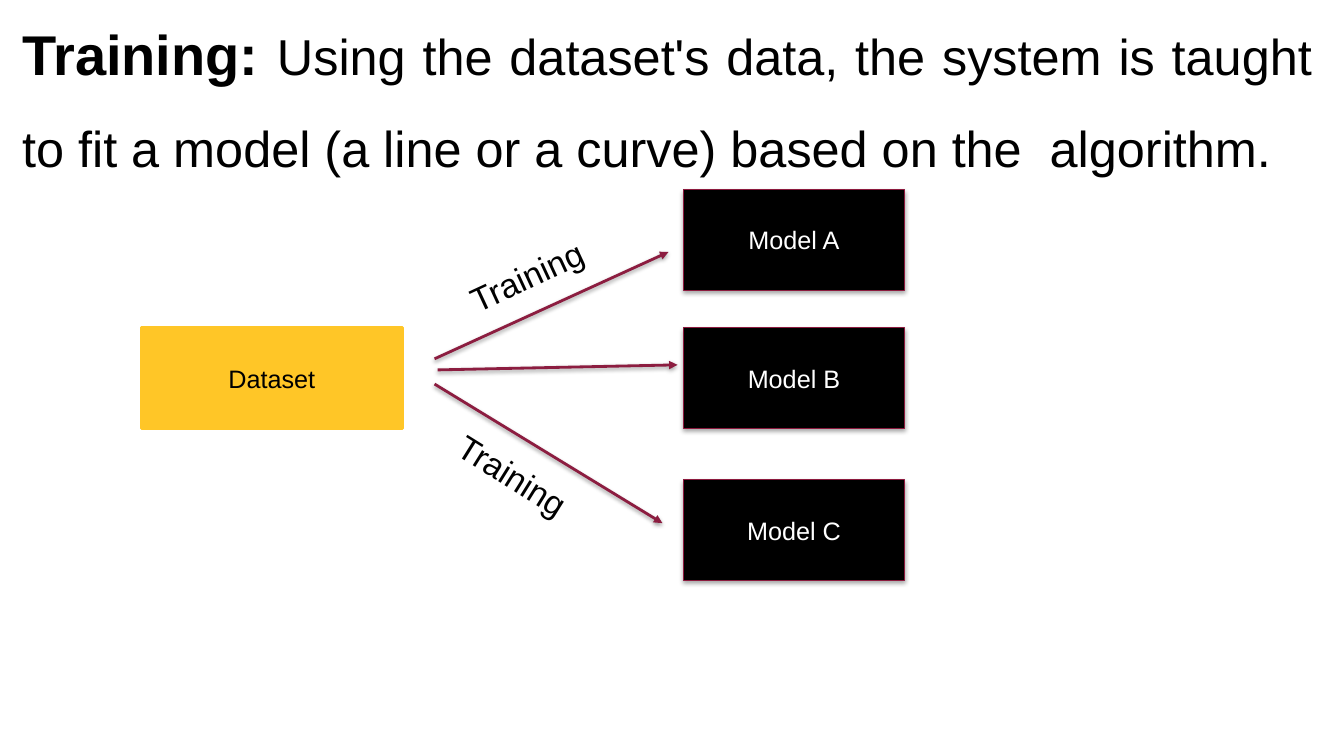
from lxml import etree
from pptx import Presentation
from pptx import util as u
from pptx.dml.color import RGBColor
from pptx.enum import shapes, text
from pptx.oxml import ns

BLACK = RGBColor(0, 0, 0)
WHITE = RGBColor(255, 255, 255)
GOLD = RGBColor(0xFF, 0xC6, 0x27)
MAROON = RGBColor(0x8C, 0x1D, 0x40)
EDGE = RGBColor(0x8C, 0x1A, 0x3E)

PX = 9144
SLIDE = (1333, 750)
TITLE_BOX = (12, -9, 1300, 181)
TITLE_RUNS = [
    ("Training: ", {"size": u.Pt(40), "bold": True}),
    ("Using the dataset's data, the system is taught to fit a model "
     "(a line or a curve) based on the  algorithm.",
     {"size": u.Pt(36), "bold": False}),
]
DATASET = ("Dataset", (140, 325, 259, 100))
MODEL_LEFT, MODEL_W, MODEL_H = 678, 219, 100
MODELS = [("Model B", 325), ("Model A", 188), ("Model C", 476)]
ARROWS = [(431, 381, 657, 519), (434, 367, 672, 362), (431, 356, 663, 250)]
LABELS = [(452, 246, 335), (438, 450, 32)]
LABEL_TEXT, LABEL_W, LABEL_H = "Training", 152, 50


def px(values):
    return [u.Emu(v * PX) for v in values]


def apply(obj, values):
    for name, value in values.items():
        setattr(obj, name, value)


def add_run(p, words, color, **values):
    r = p.add_run()
    r.text = words
    apply(r.font, {"name": "Arial", **values})
    r.font.color.rgb = color


def add_shadow(effects, alpha, dist):
    shadow = etree.SubElement(
        effects, ns.qn("a:outerShdw"), blurRad="40000", dist=str(dist),
        dir="5400000", rotWithShape="0")
    black = etree.SubElement(shadow, ns.qn("a:srgbClr"), val="000000")
    etree.SubElement(black, ns.qn("a:alpha"), val=str(alpha * 1000))


def add_box(s, words, box, fill, edge, width, color):
    sp = s.shapes.add_shape(shapes.MSO_SHAPE.RECTANGLE, *px(box))
    sp.shadow.inherit = False
    sp.fill.solid()
    sp.fill.fore_color.rgb = fill
    sp.line.color.rgb = edge
    sp.line.width = u.Pt(width)
    sp.text_frame.vertical_anchor = text.MSO_ANCHOR.MIDDLE
    p = sp.text_frame.paragraphs[0]
    p.alignment = text.PP_ALIGN.CENTER
    add_run(p, words, color, size=u.Pt(18))
    return sp


def add_arrow(s, ends):
    line = s.shapes.add_connector(shapes.MSO_CONNECTOR.STRAIGHT, *px(ends))
    line.line.color.rgb = MAROON
    line.line.width = u.Pt(2)
    etree.SubElement(line.line._get_or_add_ln(), ns.qn("a:tailEnd"), type="triangle")
    effects = etree.SubElement(line._element.spPr, ns.qn("a:effectLst"))
    add_shadow(effects, 38, 20000)


def add_label(s, left, top, angle):
    sp = s.shapes.add_textbox(*px((left, top, LABEL_W, LABEL_H)))
    sp.rotation = angle
    apply(sp.text_frame, {"word_wrap": True,
                          "auto_size": text.MSO_AUTO_SIZE.SHAPE_TO_FIT_TEXT})
    add_run(sp.text_frame.paragraphs[0], LABEL_TEXT, BLACK, size=u.Pt(24))


def add_title(s):
    title = s.shapes.title
    apply(title, dict(zip(("left", "top", "width", "height"), px(TITLE_BOX))))
    apply(title.text_frame, {"word_wrap": True,
                             "auto_size": text.MSO_AUTO_SIZE.SHAPE_TO_FIT_TEXT,
                             "vertical_anchor": text.MSO_ANCHOR.TOP})
    p = title.text_frame.paragraphs[0]
    apply(p, {"alignment": text.PP_ALIGN.JUSTIFY, "line_spacing": u.Pt(65)})
    for words, values in TITLE_RUNS:
        add_run(p, words, BLACK, **values)


def main():
    prs = Presentation()
    prs.slide_width, prs.slide_height = px(SLIDE)
    s = prs.slides.add_slide(prs.slide_layouts[5])
    add_title(s)
    add_box(s, *DATASET, GOLD, GOLD, 2, BLACK)
    for name, top in MODELS:
        box = (MODEL_LEFT, top, MODEL_W, MODEL_H)
        sp = add_box(s, name, box, BLACK, EDGE, 0.75, WHITE)
        add_shadow(sp._element.spPr.find(ns.qn("a:effectLst")), 35, 23000)
    for ends in ARROWS:
        add_arrow(s, ends)
    for label in LABELS:
        add_label(s, *label)
    prs.save("out.pptx")


if __name__ == "__main__":
    main()
